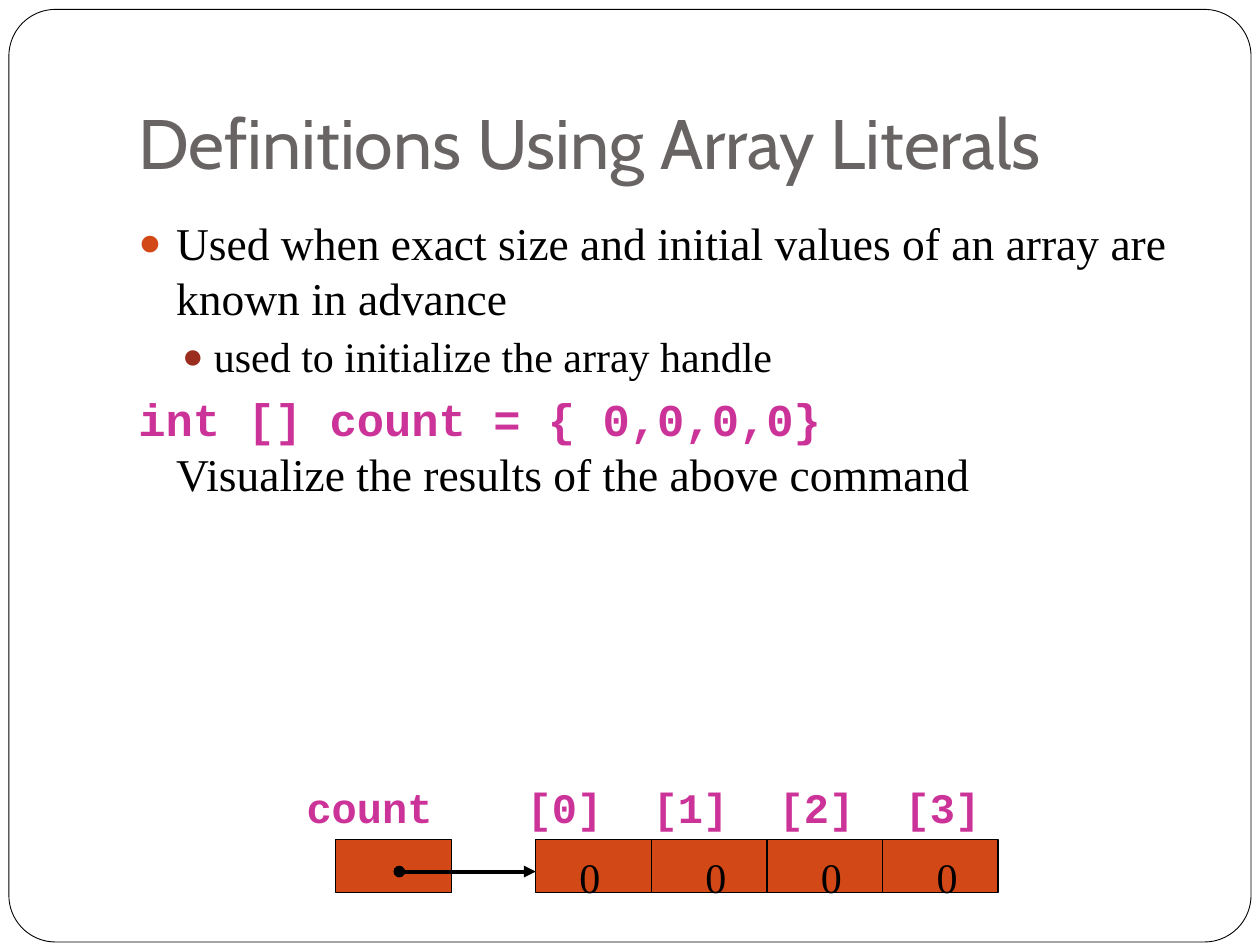
from copy import deepcopy
from dataclasses import dataclass

from lxml import etree
from pptx import Presentation
from pptx.dml.color import RGBColor
from pptx.enum.shapes import MSO_CONNECTOR, MSO_SHAPE
from pptx.enum.text import MSO_ANCHOR, MSO_AUTO_SIZE, PP_ALIGN
from pptx.oxml.ns import qn
from pptx.util import Cm, Pt

RECTANGLE, ROUNDED = MSO_SHAPE.RECTANGLE, MSO_SHAPE.ROUNDED_RECTANGLE
STRAIGHT = MSO_CONNECTOR.STRAIGHT
TOP, BOTTOM = MSO_ANCHOR.TOP, MSO_ANCHOR.BOTTOM
LEFT = PP_ALIGN.LEFT
NO_AUTOFIT = MSO_AUTO_SIZE.NONE


@dataclass(frozen=True)
class Theme:
    """Colours and text formats of the slide."""
    paper: str = "FFFFFF"
    ink: str = "000000"
    heading: str = "696464"
    code: str = "CC3399"
    accent: str = "D34817"
    sub_accent: str = "9B2D1F"
    title_font: str = "Cabin"
    body_font: str = "Times New Roman"
    code_font: str = "Courier New"
    title_size: int = 40
    body_size: int = 26
    small_size: int = 24

    def title(self):
        """Return the format of the title."""
        return dict(name=self.title_font, size=Pt(self.title_size), bold=False, color=self.heading)

    def body(self, size):
        """Return the format of prose at a size."""
        return dict(name=self.body_font, size=Pt(size), bold=False, color=self.ink)

    def listing(self, size):
        """Return the format of code at a size."""
        return dict(name=self.code_font, size=Pt(size), bold=True, color=self.code)


THEME = Theme()
CELL_WIDTH, CELL_HEIGHT = 2.33, 1.06
CELL_TOP = 16.93
HANDLE_LEFT, ARRAY_LEFT = 6.77, 10.8
CELL_COUNT = 4


def apply(target, settings):
    """Set attributes of an object from a dict."""
    for name, value in settings.items():
        setattr(target, name, value)


def add_run(paragraph, text, style):
    """Append formatted text to a paragraph."""
    run = paragraph.add_run()
    run.text = text
    apply(run.font, {key: value for key, value in style.items() if key != "color"})
    run.font.color.rgb = RGBColor.from_string(style["color"])
    return run


def set_frame(frame, anchor=TOP, margin_top=0.13, margin_bottom=0.13):
    """Fix wrapping, anchor and vertical insets of a text frame."""
    apply(frame, dict(word_wrap=True, auto_size=NO_AUTOFIT, vertical_anchor=anchor,
                      margin_left=Cm(0.25), margin_right=Cm(0.25),
                      margin_top=Cm(margin_top), margin_bottom=Cm(margin_bottom)))


def set_place(shape, left, top, width, height):
    """Move and size a shape in centimetres."""
    apply(shape, dict(left=Cm(left), top=Cm(top), width=Cm(width), height=Cm(height)))


def set_bullet(paragraph, margin, hanging, color=None):
    """Set the hanging indent and a round bullet, or none without a colour."""
    properties = paragraph._p.get_or_add_pPr()
    properties.set("marL", str(Cm(margin)))
    properties.set("indent", str(-Cm(hanging)))
    if color is None:
        etree.SubElement(properties, qn("a:buNone"))
        return
    bullet_color = etree.SubElement(properties, qn("a:buClr"))
    etree.SubElement(bullet_color, qn("a:srgbClr"), val=color)
    etree.SubElement(properties, qn("a:buSzPct"), val="85000")
    etree.SubElement(properties, qn("a:buFont"), typeface=THEME.body_font)
    etree.SubElement(properties, qn("a:buChar"), char="●")


def set_tabs(paragraph, stops):
    """Add left tab stops in centimetres."""
    tab_list = etree.SubElement(paragraph._p.get_or_add_pPr(), qn("a:tabLst"))
    for stop in stops:
        etree.SubElement(tab_list, qn("a:tab"), pos=str(Cm(stop)), algn="l")


def add_box(shapes, kind, place, fill, line_width):
    """Add a filled shape with a black outline."""
    box = shapes.add_shape(kind, *map(Cm, place))
    box.shadow.inherit = False
    box.fill.solid()
    box.fill.fore_color.rgb = RGBColor.from_string(fill)
    box.line.color.rgb = RGBColor.from_string(THEME.ink)
    box.line.width = Pt(line_width)
    return box


def add_label(shapes, place, words, style, margin_top, stops=()):
    """Add one line of words set at tab stops."""
    label = shapes.add_textbox(*map(Cm, place))
    set_frame(label.text_frame, margin_top=margin_top)
    paragraph = label.text_frame.paragraphs[0]
    set_tabs(paragraph, stops)
    add_run(paragraph, "\t".join(words), style)


def add_reference(shapes, start, end, height):
    """Add the arrow from the handle to the array."""
    arrow = shapes.add_connector(STRAIGHT, Cm(start), Cm(height), Cm(end), Cm(height))
    arrow.line.color.rgb = RGBColor.from_string(THEME.ink)
    arrow.line.width = Pt(2.25)
    outline = arrow.line._ln
    etree.SubElement(outline, qn("a:headEnd"), type="oval")
    etree.SubElement(outline, qn("a:tailEnd"), type="triangle")
    etree.SubElement(arrow._element.spPr, qn("a:effectLst"))


def add_border(slide):
    """Add the rounded page border behind everything."""
    border = add_box(slide.shapes, ROUNDED, (0.18, 0.19, 25.04, 18.8), THEME.paper, 0.5)
    border.adjustments[0] = 0.05
    slide.shapes._spTree.insert(2, border._element)


def fill_title(title):
    """Place and write the title."""
    set_place(title, 2.54, 0.76, 21.59, 3.18)
    set_frame(title.text_frame, BOTTOM, margin_bottom=0.25)
    paragraph = title.text_frame.paragraphs[0]
    paragraph.alignment = LEFT
    add_run(paragraph, "Definitions Using Array Literals", THEME.title())


def fill_body(body):
    """Place and write the explanation."""
    set_place(body, 2.54, 4.01, 21.59, 12.7)
    frame = body.text_frame
    set_frame(frame, margin_top=0.33)
    prose = THEME.body(THEME.body_size)

    usage = frame.paragraphs[0]
    set_bullet(usage, 0.76, 0.76, THEME.accent)
    usage.space_before = Pt(0)
    add_run(usage, "Used when exact size and initial values of an array are known in advance", prose)

    purpose = frame.add_paragraph()
    purpose.level = 1
    set_bullet(purpose, 1.52, 0.64, THEME.sub_accent)
    purpose.space_before = Pt(3.7)
    add_run(purpose, "used to initialize the array handle", THEME.body(THEME.small_size))

    example = frame.add_paragraph()
    set_bullet(example, 0.76, 0.76)
    example.space_before = Pt(5.8)
    command = add_run(example, "int [] count = { 0,0,0,0}", THEME.listing(THEME.body_size))
    example.add_line_break()
    example._p.find(qn("a:br")).append(deepcopy(command._r.rPr))
    add_run(example, "Visualize the results of the above command", prose)


def add_array_diagram(slide):
    """Draw the handle, its reference and the array cells."""
    shapes = slide.shapes.add_group_shape().shapes
    cell_lefts = [ARRAY_LEFT + CELL_WIDTH * index for index in range(CELL_COUNT)]
    for left in [HANDLE_LEFT, *cell_lefts]:
        add_box(shapes, RECTANGLE, (left, CELL_TOP, CELL_WIDTH, CELL_HEIGHT), THEME.accent, 0.75)

    code = THEME.listing(THEME.small_size)
    indexes = [f"[{index}]" for index in range(CELL_COUNT)]
    index_stops = [2.54 * index for index in range(1, CELL_COUNT)]
    value_stops = [2.54 + CELL_WIDTH * index for index in range(CELL_COUNT - 1)]
    add_label(shapes, (5.93, 15.45, 4.87, 1.27), ["count"], code, 0.3)
    add_label(shapes, (10.37, 15.45, 10.8, 1.27), indexes, code, 0.3, index_stops)
    add_reference(shapes, 8.05, ARRAY_LEFT, 17.57)
    add_label(shapes, (11.43, CELL_TOP, 9.1, 1.27), ["0"] * CELL_COUNT,
              THEME.body(THEME.small_size), 0.23, value_stops)


def main():
    """Build and save the slide."""
    deck = Presentation()
    apply(deck, dict(slide_width=Cm(25.4), slide_height=Cm(19.05)))
    slide = deck.slides.add_slide(deck.slide_layouts[1])
    add_border(slide)
    fill_title(slide.shapes.title)
    fill_body(slide.placeholders[1])
    add_array_diagram(slide)
    deck.save("out.pptx")


if __name__ == "__main__":
    main()
